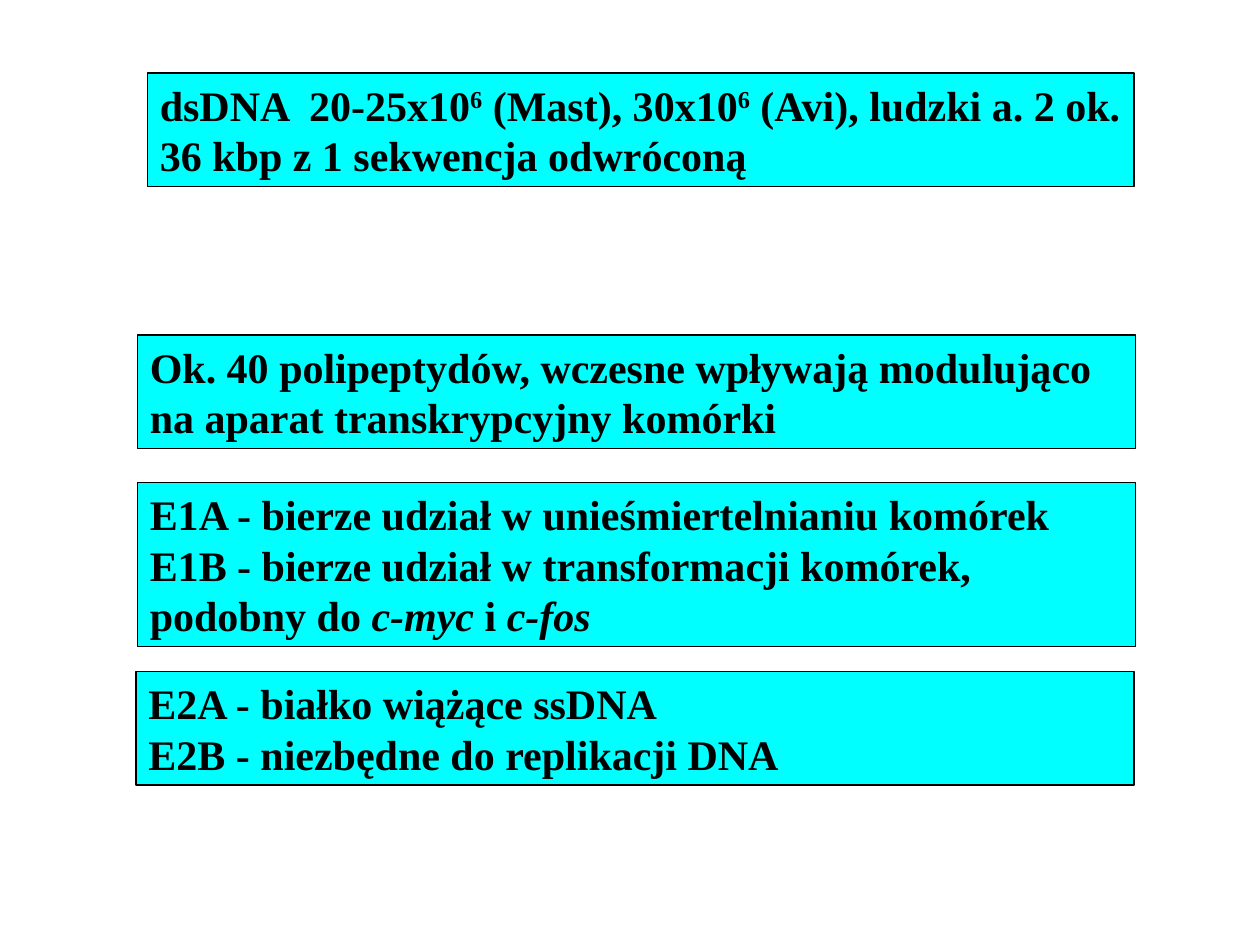
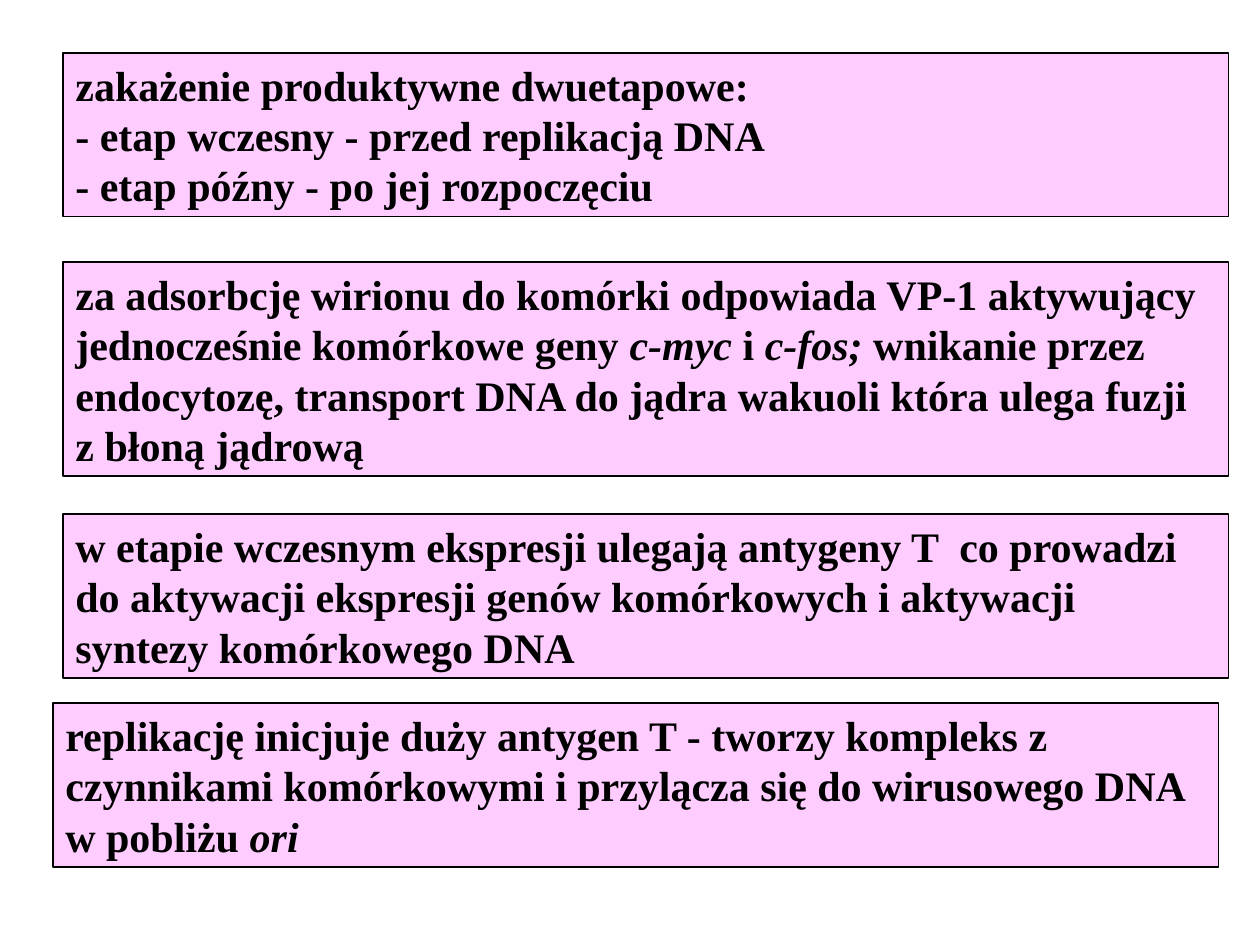
from pptx import Presentation
from pptx.dml.color import RGBColor
from pptx.enum.shapes import MSO_SHAPE
from pptx.enum.text import MSO_ANCHOR, PP_ALIGN
from pptx.util import Inches, Pt

RECTANGLE = MSO_SHAPE.RECTANGLE
TOP = MSO_ANCHOR.TOP
LEFT = PP_ALIGN.LEFT

COLORS = {"genome": "00FFFF", "infection": "FFCCFF", "ink": "000000"}
FONT = "Times New Roman"
FONT_SIZE = 24
LINE_HEIGHT = 0.4
INSET_X, INSET_Y = 0.1, 0.05

# Content: each paragraph is a list of (text, style) spans
PLAIN, ITALIC, SUPER = "plain", "italic", "super"

SLIDES = [
    {
        "fill": "genome", "line": 0.75,
        # left, top, width, number of lines, paragraphs
        "boxes": [
            (1.17, 0.58, 7.83, 2, [
                [("dsDNA  20-25x10", PLAIN), ("6", SUPER),
                 (" (Mast), 30x10", PLAIN), ("6", SUPER),
                 (" (Avi), ludzki a. 2 ok. 36 kbp z 1 sekwencja odwróconą", PLAIN)],
            ]),
            (1.09, 2.66, 7.92, 2, [
                [("Ok. 40 polipeptydów, wczesne wpływają modulująco "
                  "na aparat transkrypcyjny komórki", PLAIN)],
            ]),
            (1.09, 3.83, 7.92, 3, [
                [("E1A - bierze udział w unieśmiertelnianiu komórek", PLAIN)],
                [("E1B - bierze udział w transformacji komórek, podobny do ", PLAIN),
                 ("c-myc", ITALIC), (" i ", PLAIN), ("c-fos", ITALIC)],
            ]),
            (1.08, 5.33, 7.92, 2, [
                [("E2A - białko wiążące ssDNA", PLAIN)],
                [("E2B - niezbędne do replikacji DNA", PLAIN)],
            ]),
        ],
    },
    {
        "fill": "infection", "line": 1,
        "boxes": [
            (0.5, 0.42, 9.25, 3, [
                [("zakażenie produktywne dwuetapowe:", PLAIN)],
                [("- etap wczesny - przed replikacją DNA", PLAIN)],
                [("- etap późny - po jej rozpoczęciu", PLAIN)],
            ]),
            (0.5, 2.08, 9.25, 4, [
                [("za adsorbcję wirionu do komórki odpowiada VP-1 aktywujący "
                  "jednocześnie komórkowe geny ", PLAIN),
                 ("c-myc", ITALIC), (" i ", PLAIN), ("c-fos; ", ITALIC),
                 ("wnikanie przez endocytozę, transport DNA do jądra wakuoli "
                  "która ulega fuzji z błoną jądrową", PLAIN)],
            ]),
            (0.5, 4.08, 9.25, 3, [
                [("w etapie wczesnym ekspresji ulegają antygeny T  co prowadzi "
                  "do aktywacji ekspresji genów komórkowych i aktywacji "
                  "syntezy komórkowego DNA", PLAIN)],
            ]),
            (0.42, 5.58, 9.25, 3, [
                [("replikację inicjuje duży antygen T - tworzy kompleks z "
                  "czynnikami komórkowymi i przylącza się do wirusowego DNA "
                  "w pobliżu ", PLAIN), ("ori", ITALIC)],
            ]),
        ],
    },
]


def color(name):
    return RGBColor.from_string(COLORS[name])


def write_paragraph(para, spans):
    para.alignment = LEFT
    para.font.name = FONT
    para.font.size = Pt(FONT_SIZE)
    para.font.bold = True
    para.font.color.rgb = color("ink")
    for text, style in spans:
        span = para.add_run()
        span.text = text
        if style == ITALIC:
            span.font.italic = True
        elif style == SUPER:
            span.font._element.set("baseline", "30000")


def add_text_box(page, fill, line_width, left, top, width, lines, paragraphs):
    height = lines * LINE_HEIGHT + 2 * INSET_Y
    box = page.shapes.add_shape(
        RECTANGLE, Inches(left), Inches(top), Inches(width), Inches(height))
    box.shadow.inherit = False
    box.fill.solid()
    box.fill.fore_color.rgb = color(fill)
    box.line.color.rgb = color("ink")
    box.line.width = Pt(line_width)

    frame = box.text_frame
    frame.word_wrap = True
    frame.vertical_anchor = TOP
    frame.margin_left = frame.margin_right = Inches(INSET_X)
    frame.margin_top = frame.margin_bottom = Inches(INSET_Y)
    for index, spans in enumerate(paragraphs):
        para = frame.paragraphs[0] if index == 0 else frame.add_paragraph()
        write_paragraph(para, spans)


def main():
    deck = Presentation()
    deck.slide_width, deck.slide_height = Inches(10), Inches(7.5)
    blank = deck.slide_layouts[6]
    for content in SLIDES:
        page = deck.slides.add_slide(blank)
        for box in content["boxes"]:
            add_text_box(page, content["fill"], content["line"], *box)
    deck.save("out.pptx")


if __name__ == "__main__":
    main()
